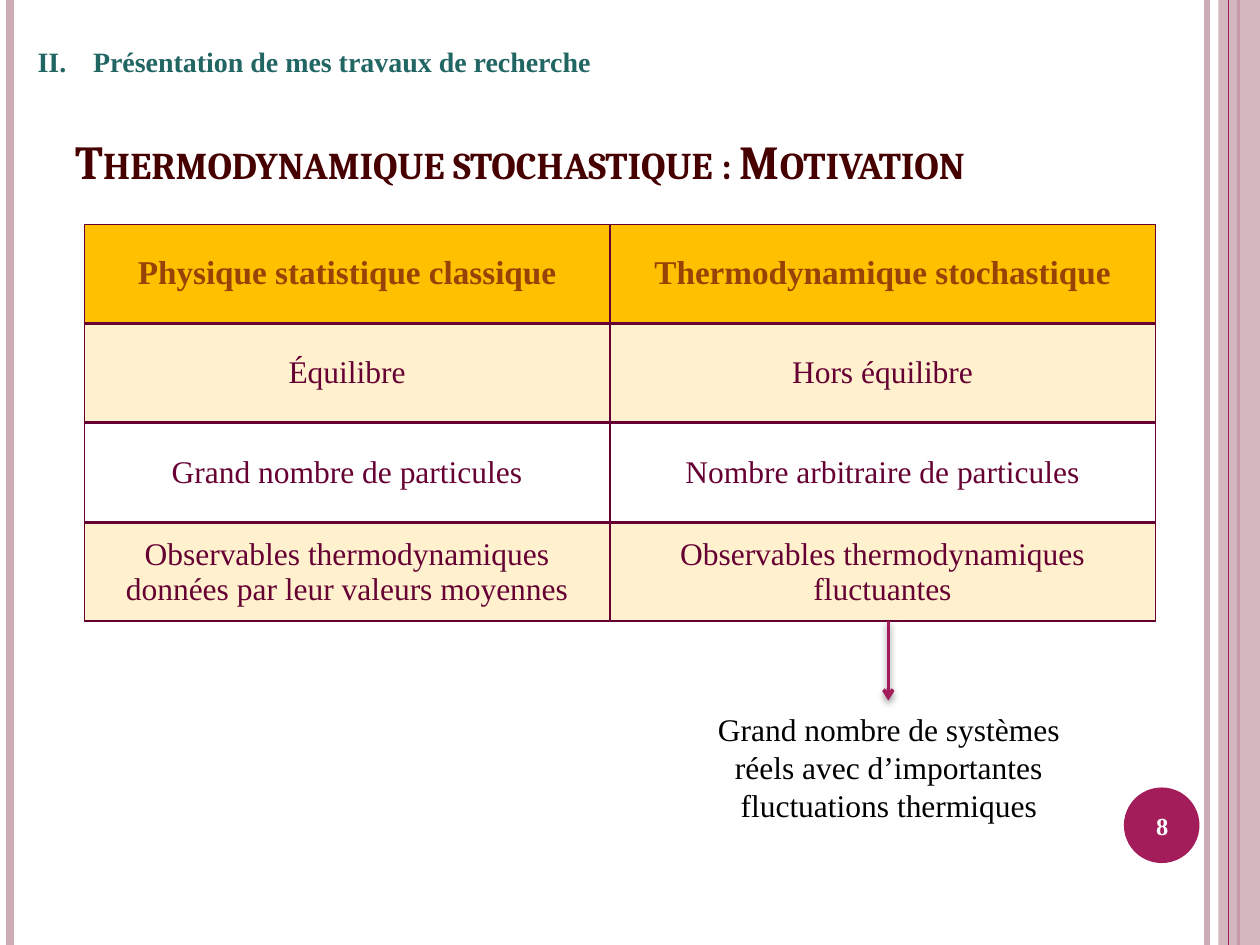
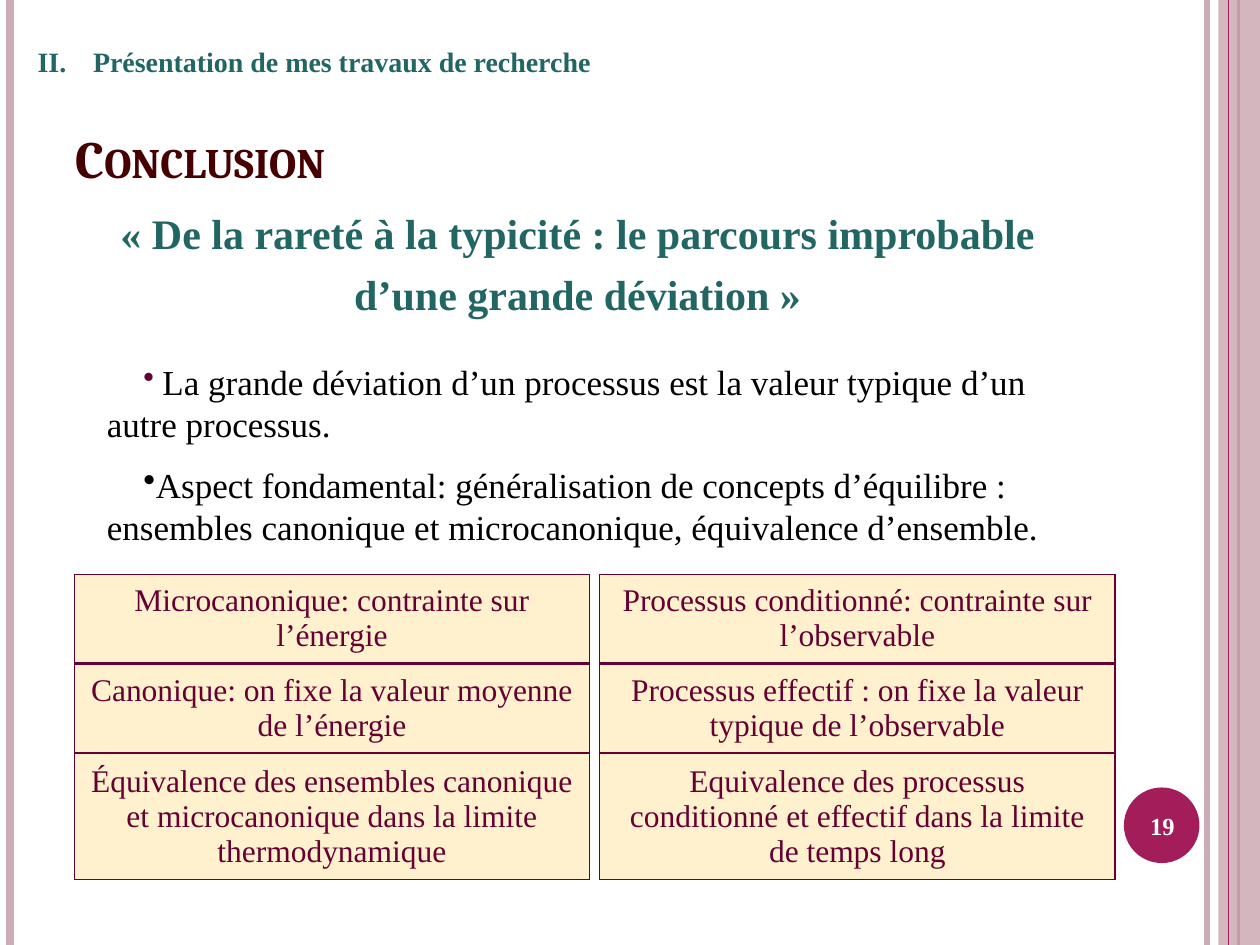
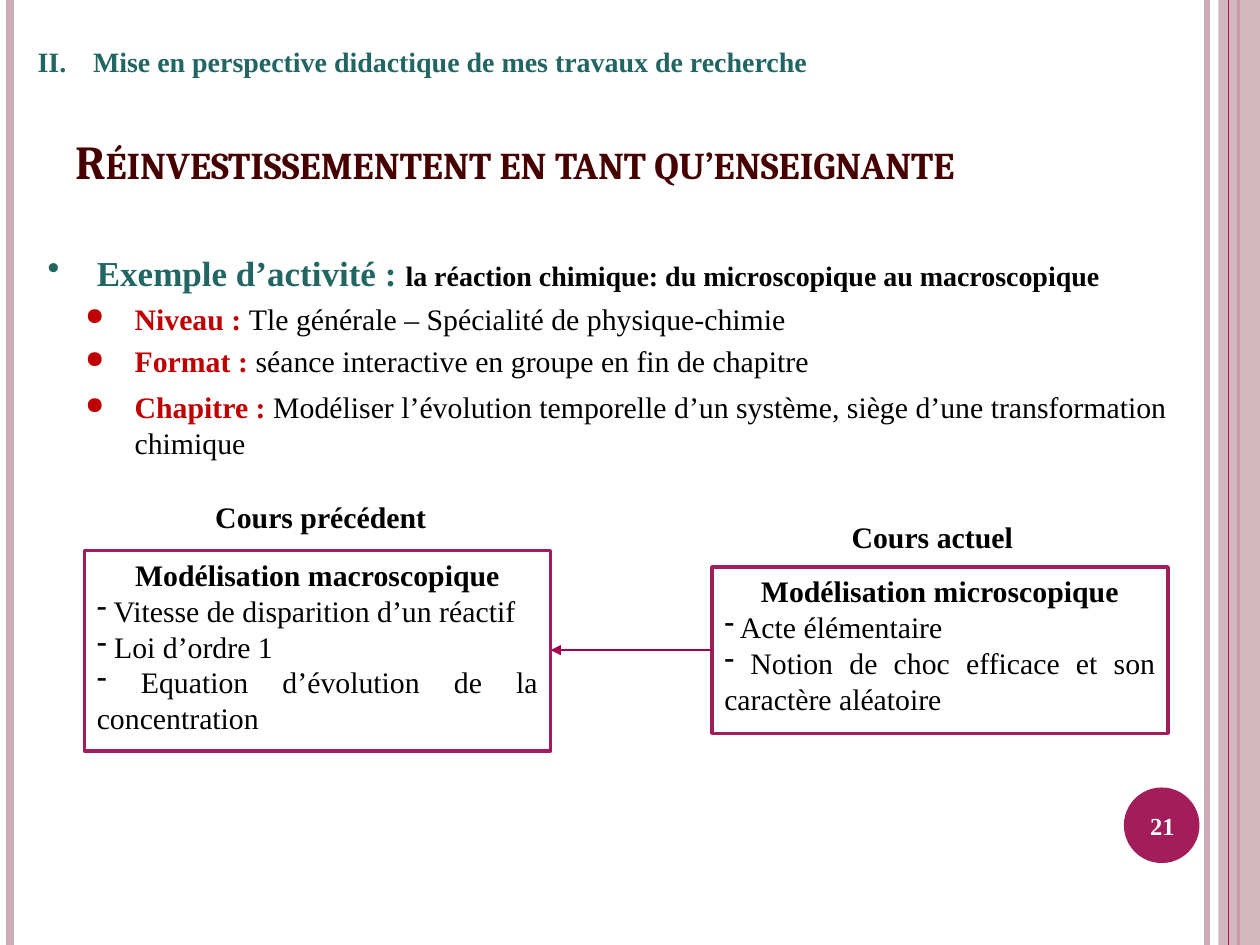
"""Build three slides on stochastic thermodynamics and its use in teaching."""
from lxml import etree
from pptx import Presentation, oxml
from pptx import util as u
from pptx.dml.color import RGBColor
from pptx.enum import dml, shapes, text
from pptx.oxml.ns import nsdecls, qn

ROSE = RGBColor(0xCE, 0xAC, 0xB5)
RASPBERRY = RGBColor(0xA3, 0x1D, 0x5A)
CRIMSON = RGBColor(0xA4, 0x00, 0x4B)
MAROON = RGBColor(0x46, 0x00, 0x00)
TEAL = RGBColor(0x22, 0x66, 0x64)
PLUM = RGBColor(0x66, 0x00, 0x33)
RUST = RGBColor(0x96, 0x43, 0x05)
AMBER = RGBColor(0xFF, 0xC0, 0x00)
CREAM = RGBColor(0xFF, 0xF1, 0xCE)
RED = RGBColor(0xC0, 0x00, 0x00)
BLACK = RGBColor(0x00, 0x00, 0x00)
WHITE = RGBColor(0xFF, 0xFF, 0xFF)

TIMES = "Times New Roman"
TOP, MIDDLE, BOTTOM = text.MSO_ANCHOR.TOP, text.MSO_ANCHOR.MIDDLE, text.MSO_ANCHOR.BOTTOM
CENTRED = {"alignment": text.PP_ALIGN.CENTER}
JUSTIFIED = {"alignment": text.PP_ALIGN.JUSTIFY}

deck = Presentation()
deck.slide_width, deck.slide_height = u.Inches(10), u.Inches(7.5)
UNIT = deck.slide_width // 100
COLUMNS, ROWS = 100, 75

NO_BULLET = (0, 0, "<a:buNone/>")
ROMAN = (4.4, -4.4, '<a:buFont typeface="+mj-lt"/><a:buAutoNum type="romanUcPeriod" startAt="2"/>')
DASH = (0, 0, '<a:buChar char="-"/>')
PLUM_DOT = (0, 2.9, f'<a:buClr><a:srgbClr val="{PLUM}"/></a:buClr><a:buChar char="•"/>')
BLACK_DOT = (0, 2.9, '<a:buChar char="•"/>')
TEAL_DOT = (3.9, -3.9, f'<a:buClr><a:srgbClr val="{TEAL}"/></a:buClr><a:buChar char="•"/>')
RED_DOT = (6.9, -3.9, f'<a:buClr><a:srgbClr val="{RED}"/></a:buClr>'
                      '<a:buSzPct val="80000"/><a:buChar char="●"/>')


def write(frame, paragraphs, anchor=TOP, face=TIMES):
    """Fill a frame with (runs, layout, bullet) paragraphs."""
    frame.word_wrap, frame.vertical_anchor = True, anchor
    for index, (runs, layout, (margin, indent, marks)) in enumerate(paragraphs):
        paragraph = frame.add_paragraph() if index else frame.paragraphs[0]
        properties = paragraph._p.get_or_add_pPr()
        properties.set("marL", str(int(margin * UNIT)))
        properties.set("indent", str(int(indent * UNIT)))
        properties.extend(list(oxml.parse_xml(f"<a:pPr {nsdecls('a')}>{marks}</a:pPr>")))
        for key, value in layout.items():
            setattr(paragraph, key, value)
        for words, size, colour, bold in runs:
            run = paragraph.add_run()
            run.text = words
            for key, value in {"name": face, "size": u.Pt(size), "bold": bold}.items():
                setattr(run.font, key, value)
            run.font.color.rgb = colour


def draw_line(slide, ends, colour, width, arrow=None):
    """Draw a straight line, with an optional (end, kind) arrowhead."""
    line = slide.shapes.add_connector(shapes.MSO_CONNECTOR.STRAIGHT,
                                      *(int(end * UNIT) for end in ends))
    line.line.color.rgb, line.line.width = colour, u.Pt(width)
    if arrow:
        etree.SubElement(line.line._get_or_add_ln(), qn(f"a:{arrow[0]}"), type=arrow[1])
    etree.SubElement(line._element.spPr, qn("a:effectLst"))
    return line


RESEARCH = "Présentation de mes travaux de recherche"
pages = [
    (8, RESEARCH, "Thermodynamique stochastique : Motivation", 27),
    (19, RESEARCH, "Conclusion", 30),
    (21, "Mise en perspective didactique de mes travaux de recherche",
     "Réinvestissementent en tant qu’enseignante", 27),
]
for number, section, heading, heading_size in pages:
    slide = deck.slides.add_slide(deck.slide_layouts[6])
    for x, colour, width in [(95.8, ROSE, 3), (0.8, ROSE, 4.5), (98.3, RASPBERRY, 1.5)]:
        draw_line(slide, (x, 0, x, ROWS), colour, width)
    for kind, area, colour, opacity in [
        (shapes.MSO_SHAPE.RECTANGLE, (96.7, 0, COLUMNS - 96.7, ROWS), ROSE, 87),
        (shapes.MSO_SHAPE.OVAL, (89.2, 62.5, 6, 6), RASPBERRY, 100),
    ]:
        ornament = slide.shapes.add_shape(kind, *(int(part * UNIT) for part in area))
        ornament.shadow.inherit = False
        ornament.fill.solid()
        ornament.fill.fore_color.rgb = colour
        ornament.line.fill.background()
        for tint in ornament._element.spPr.iter(qn("a:srgbClr")):
            etree.SubElement(tint, qn("a:alpha"), val=str(opacity * 1000))
    draw_line(slide, (97.5, 0, 97.5, ROWS), RASPBERRY, 0.75)
    for area, words, size, colour, layout, bullet, anchor, face in [
        ((5, 8.4, 89.9, 7.1), heading, heading_size, MAROON, {}, NO_BULLET, BOTTOM, "Cambria"),
        ((2, 2.9, 87.4, 4), section, 16, TEAL, {}, ROMAN, MIDDLE, TIMES),
        ((88.9, 62.7, 6.7, 5.7), str(number), 14, WHITE, CENTRED, NO_BULLET, MIDDLE, TIMES),
    ]:
        box = slide.shapes.add_textbox(*(int(part * UNIT) for part in area))
        write(box.text_frame, [([(words, size, colour, True)], layout, bullet)], anchor, face)
        if words == heading:
            box.text_frame.paragraphs[0].runs[0].font._element.set("cap", "small")

motivation, conclusion, teaching = deck.slides

comparison = [
    ("Physique statistique classique", "Thermodynamique stochastique", AMBER),
    ("Équilibre", "Hors équilibre", CREAM),
    ("Grand nombre de particules", "Nombre arbitraire de particules", None),
    ("Observables thermodynamiques données par leur valeurs moyennes",
     "Observables thermodynamiques fluctuantes", CREAM),
]
analogies = [
    ("Microcanonique: contrainte sur l’énergie",
     "Processus conditionné: contrainte sur l’observable", 7),
    ("Canonique: on fixe la valeur moyenne de l’énergie",
     "Processus effectif : on fixe la valeur typique de l’observable", 7),
    ("Équivalence des ensembles canonique et microcanonique dans la limite thermodynamique",
     "Equivalence des processus conditionné et effectif dans la limite de temps long", 10),
]
tables = [(motivation, 6.7, 17.8 + 7.9 * row, (41.7, 43.3), 7.8, pair, fill)
          for row, (*pair, fill) in enumerate(comparison)]
tables += [(conclusion, 5.9 + 41.7 * side, 45.6 + 7.1 * row, (40.9,), height, [pair[side]], CREAM)
           for row, (*pair, height) in enumerate(analogies) for side in range(2)]
for slide, left, top, widths, height, entries, fill in tables:
    area = (left, top, sum(widths), height)
    table = slide.shapes.add_table(1, len(widths), *(int(part * UNIT) for part in area)).table
    table.first_row = table.horz_banding = False
    style = (19, RUST, True) if fill == AMBER else (18, PLUM, False)
    for column, width, cell, words in zip(table.columns, widths, table.rows[0].cells, entries):
        column.width = int(width * UNIT)
        write(cell.text_frame, [([(words, *style)], CENTRED, NO_BULLET)])
        cell.vertical_anchor = MIDDLE
        for edge in "LRTB":
            cell._tc.get_or_add_tcPr().append(oxml.parse_xml(
                f'<a:ln{edge} {nsdecls("a")} w="12700"><a:solidFill><a:srgbClr val="{PLUM}"/>'
                f'</a:solidFill></a:ln{edge}>'))
        if fill:
            cell.fill.solid()
            cell.fill.fore_color.rgb = fill
        else:
            cell.fill.background()

AFTER_TITLE = {**CENTRED, "space_before": u.Pt(6)}
passages = [
    (motivation, (55.2, 55.8, 30.7, 10.1), MIDDLE, [
        ([("Grand nombre de systèmes réels avec d’importantes fluctuations thermiques",
           18, BLACK, False)], CENTRED, NO_BULLET)]),
    (conclusion, (5, 16, 81.7, 11.6), TOP, [
        ([("« De la rareté à la typicité : le parcours improbable", 24, TEAL, True)],
         CENTRED, NO_BULLET),
        ([("d’une grande déviation »", 24, TEAL, True)], AFTER_TITLE, NO_BULLET)]),
    (conclusion, (7.5, 28.1, 80.3, 16.2), TOP, [
        ([(" ", 18, PLUM, False),
          ("La grande déviation d’un processus est la valeur typique d’un autre processus.",
           20, BLACK, False)], {}, PLUM_DOT),
        ([("Aspect fondamental: généralisation de concepts d’équilibre : ensembles canonique "
           "et microcanonique, équivalence d’ensemble.", 20, BLACK, False)],
         {"space_before": u.Pt(11)}, BLACK_DOT)]),
    (teaching, (2.8, 17.8, 92.1, 12), TOP, [
        ([("Exemple d’activité : ", 20, TEAL, True),
          ("la réaction chimique: du microscopique au macroscopique", 16, BLACK, True)],
         {"line_spacing": 1.5}, TEAL_DOT),
        *(([(label, 17, RED, True), (detail, 17, BLACK, False)],
           {"space_before": u.Pt(4)}, RED_DOT)
          for label, detail in [
              ("Niveau : ", "Tle générale – Spécialité de physique-chimie"),
              ("Format : ", "séance interactive en groupe en fin de chapitre")])]),
    (teaching, (2.8, 30.4, 97.2, 6.7), TOP, [
        ([("Chapitre :", 17, RED, True),
          (" Modéliser l’évolution temporelle d’un système, siège d’une transformation chimique",
           17, BLACK, False)], {}, RED_DOT)]),
    (teaching, (16.1, 39.1, 19.5, 3.9), TOP,
     [([("Cours précédent", 17, BLACK, True)], {}, NO_BULLET)]),
    (teaching, (66.6, 40.7, 15.5, 3.9), TOP,
     [([("Cours actuel", 17, BLACK, True)], {}, NO_BULLET)]),
]
for slide, area, anchor, paragraphs in passages:
    box = slide.shapes.add_textbox(*(int(part * UNIT) for part in area))
    write(box.text_frame, paragraphs, anchor)

lessons = [
    ((6.7, 43.7, 37, 15.9), "Modélisation macroscopique",
     [" Vitesse de disparition d’un réactif", " Loi d’ordre 1",
      " Equation d’évolution de la concentration"]),
    ((56.5, 45, 36.2, 13.2), "Modélisation microscopique",
     [" Acte élémentaire", " Notion de choc efficace et son caractère aléatoire"]),
]
for area, topic, points in lessons:
    lesson = teaching.shapes.add_shape(shapes.MSO_SHAPE.RECTANGLE,
                                       *(int(part * UNIT) for part in area))
    lesson.shadow.inherit = False
    lesson.fill.solid()
    lesson.fill.fore_color.rgb = WHITE
    lesson.line.color.rgb, lesson.line.width = RASPBERRY, u.Pt(2)
    write(lesson.text_frame, [([(topic, 17, BLACK, True)], CENTRED, NO_BULLET)]
          + [([(point, 17, BLACK, False)], JUSTIFIED, DASH) for point in points])

draw_line(teaching, (43.7, 51.6, 56.5, 51.6), CRIMSON, 1, ("headEnd", "triangle"))
consequence = draw_line(motivation, (70.5, 49.3, 70.5, 55.6), RASPBERRY, 2, ("tailEnd", "arrow"))
consequence._element.spPr.find(qn("a:effectLst")).append(oxml.parse_xml(
    f'<a:outerShdw {nsdecls("a")} blurRad="{u.Pt(4)}" dist="{u.Pt(2)}" dir="5400000">'
    f'<a:srgbClr val="{BLACK}"><a:alpha val="40000"/></a:srgbClr></a:outerShdw>'))

deck.save("out.pptx")
